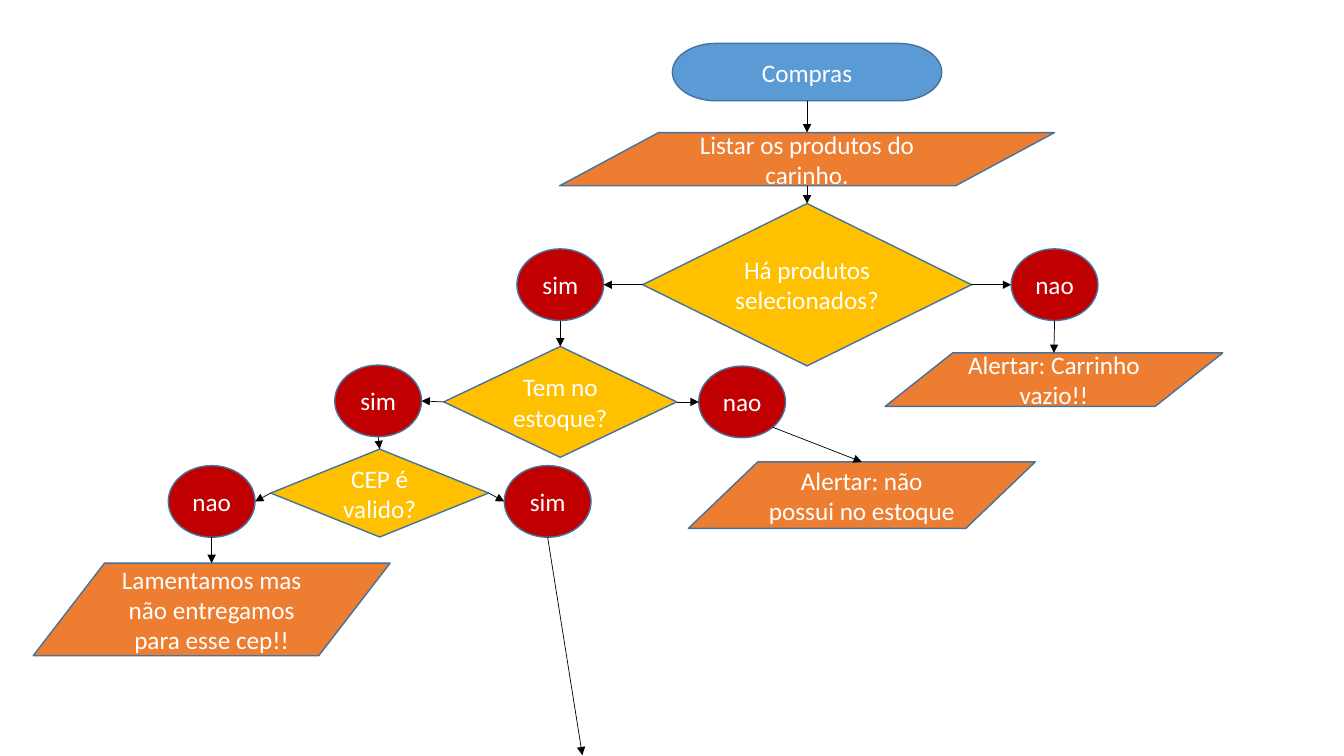
"""Build the flowchart of a shopping cart checkout."""
import pptx
import pptx.dml.color
import pptx.enum.shapes
import pptx.enum.text
import pptx.oxml
import pptx.oxml.ns
import pptx.util

Pt = pptx.util.Pt
RGBColor = pptx.dml.color.RGBColor
SHAPE = pptx.enum.shapes.MSO_SHAPE

BLUE = RGBColor(0x5B, 0x9B, 0xD5)
ORANGE = RGBColor(0xED, 0x7D, 0x31)
YELLOW = RGBColor(0xFF, 0xC0, 0x00)
RED = RGBColor(0xC0, 0x00, 0x00)
OUTLINE = RGBColor(0x43, 0x73, 0x9E)
WHITE = RGBColor(0xFF, 0xFF, 0xFF)
BLACK = RGBColor(0x00, 0x00, 0x00)

KINDS = {
    "start": (SHAPE.FLOWCHART_TERMINATOR, BLUE),
    "message": (SHAPE.FLOWCHART_DATA, ORANGE),
    "question": (SHAPE.FLOWCHART_DECISION, YELLOW),
    "answer": (SHAPE.FLOWCHART_CONNECTOR, RED),
}
ANSWER_SIZE = (62, 51.2)
MAIN_X = 576.5

NODES = {
    "shopping": ("start", "Compras", MAIN_X, 51.5, 192.4, 41),
    "list": ("message", "Listar os produtos do carinho.", MAIN_X, 113.7, 353.6, 38),
    "selected": ("question", "Há produtos selecionados?", MAIN_X, 203.4, 234.8, 116),
    "selected_yes": ("answer", "sim", 400.2, 203.4, *ANSWER_SIZE),
    "selected_no": ("answer", "nao", 753.3, 203.4, *ANSWER_SIZE),
    "empty_cart": ("message", "Alertar: Carrinho vazio!!", 752.8, 271.2, 241.2, 38.2),
    "stock": ("question", "Tem no estoque?", 400.2, 287.1, 166.4, 79.2),
    "stock_no": ("answer", "nao", 530.1, 287.1, *ANSWER_SIZE),
    "stock_yes": ("answer", "sim", 270.1, 286.4, *ANSWER_SIZE),
    "no_stock": ("message", "Alertar: não possui no estoque", 615.6, 353.7, 247.8, 47.5),
    "postcode": ("question", "CEP é valido?", 271.2, 352.2, 155.6, 62.8),
    "postcode_yes": ("answer", "sim", 391.2, 358.2, *ANSWER_SIZE),
    "postcode_no": ("answer", "nao", 151.2, 358.2, *ANSWER_SIZE),
    "no_delivery": ("message", "Lamentamos mas não entregamos para esse cep!!",
                    151.2, 435.3, 255, 66.2),
}

SIDES = {
    "top": (0, -0.5),
    "bottom": (0, 0.5),
    "left": (-0.5, 0),
    "right": (0.5, 0),
    "bottom right": (0.354, 0.354),
}

ARROWS = [
    ("shopping", "bottom", "list", "top"),
    ("list", "bottom", "selected", "top"),
    ("selected", "left", "selected_yes", "right"),
    ("selected", "right", "selected_no", "left"),
    ("selected_no", "bottom", "empty_cart", "top"),
    ("selected_yes", "bottom", "stock", "top"),
    ("stock", "right", "stock_no", "left"),
    ("stock", "left", "stock_yes", "right"),
    ("stock_no", "bottom right", "no_stock", "top"),
    ("stock_yes", "bottom", "postcode", "top"),
    ("postcode", "right", "postcode_yes", "left"),
    ("postcode", "left", "postcode_no", "right"),
    ("postcode_no", "bottom", "no_delivery", "top"),
]
PAGE_EXIT = (416, 539.5)


def side_point(node, side):
    center_x, center_y, width, height = NODES[node][2:]
    across, down = SIDES[side]
    return center_x + across * width, center_y + down * height


def add_arrow(page, start, end):
    arrow = page.shapes.add_connector(
        pptx.enum.shapes.MSO_CONNECTOR.STRAIGHT, *map(Pt, start + end))
    arrow.line.color.rgb = BLACK
    arrow.line.width = Pt(0.5)
    head = pptx.oxml.parse_xml(
        f'<a:tailEnd {pptx.oxml.ns.nsdecls("a")} type="triangle"/>')
    arrow.line._get_or_add_ln().append(head)
    effects = pptx.oxml.parse_xml(f'<a:effectLst {pptx.oxml.ns.nsdecls("a")}/>')
    arrow._element.spPr.append(effects)


deck = pptx.Presentation()
deck.slide_width, deck.slide_height = Pt(960), Pt(540)
page = deck.slides.add_slide(deck.slide_layouts[6])

font_format = {"name": "Calibri", "size": Pt(18)}

for kind, text, center_x, center_y, width, height in NODES.values():
    preset, fill = KINDS[kind]
    box = page.shapes.add_shape(
        preset, Pt(center_x - width / 2), Pt(center_y - height / 2),
        Pt(width), Pt(height))
    box.shadow.inherit = False
    box.fill.solid()
    box.fill.fore_color.rgb = fill
    box.line.color.rgb = OUTLINE
    box.line.width = Pt(1)
    box.text_frame.word_wrap = True
    box.text_frame.vertical_anchor = pptx.enum.text.MSO_ANCHOR.MIDDLE
    para = box.text_frame.paragraphs[0]
    para.alignment = pptx.enum.text.PP_ALIGN.CENTER
    span = para.add_run()
    span.text = text
    span.font.color.rgb = WHITE
    for key, value in font_format.items():
        setattr(span.font, key, value)

for source, source_side, target, target_side in ARROWS:
    add_arrow(page, side_point(source, source_side), side_point(target, target_side))
add_arrow(page, side_point("postcode_yes", "bottom"), PAGE_EXIT)

deck.save("out.pptx")
